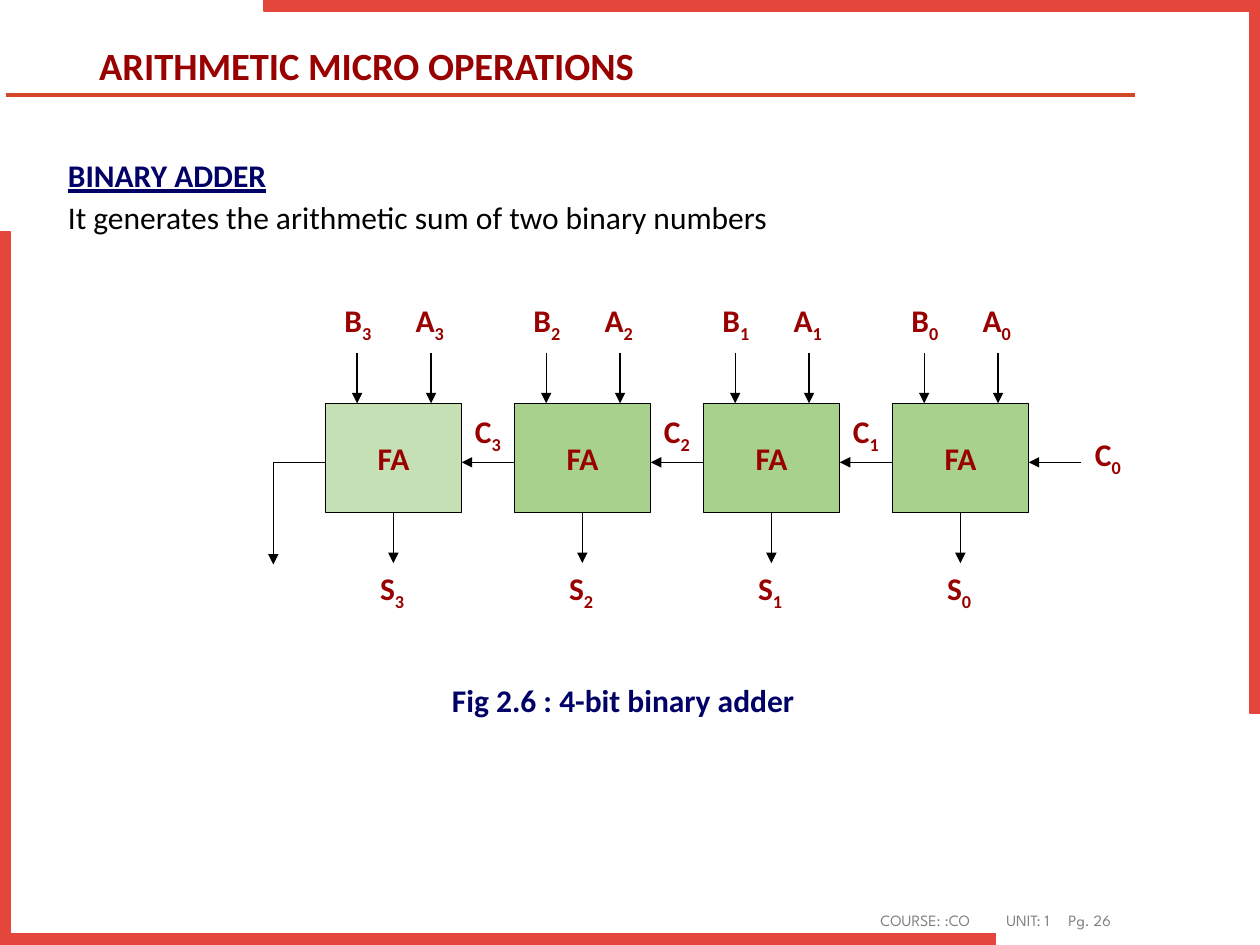
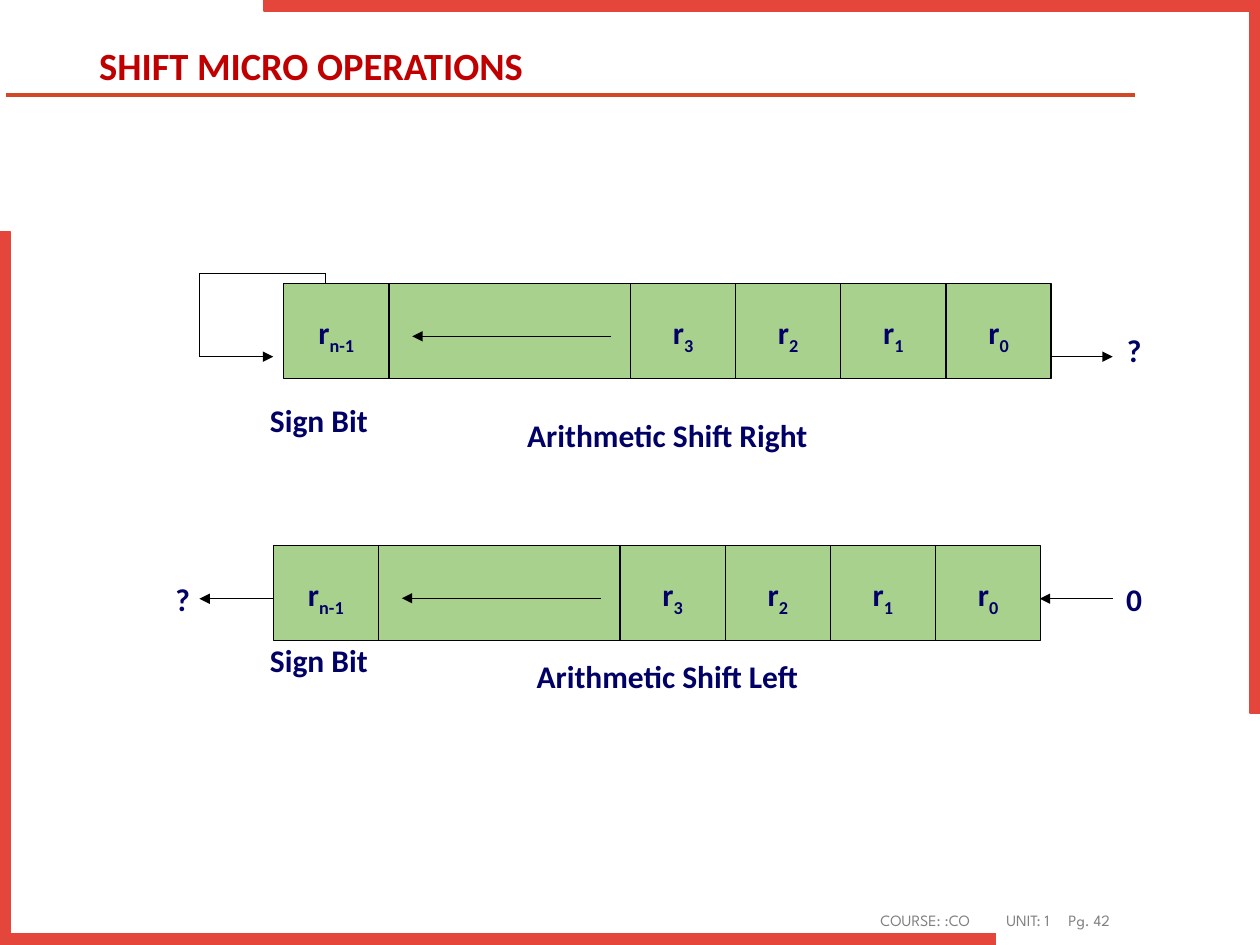
from dataclasses import dataclass
from itertools import pairwise

from lxml import etree
from pptx import Presentation
from pptx.dml.color import RGBColor
from pptx.enum import shapes, text
from pptx.oxml import ns
from pptx.util import Cm, Pt

COLORS = {
    "band": "E4463B", "rule": "D24726", "footer": "808080", "ink": "000000",
    "maroon": "990000", "red": "C00000", "navy": "000066",
    "cell": "A9D18E", "last_cell": "C5E0B4",
}
LEFT, CENTER = text.PP_ALIGN.LEFT, text.PP_ALIGN.CENTER
SLIDE_WIDTH, SLIDE_HEIGHT = 25.4, 19.05
Point = tuple[float, float]


@dataclass(frozen=True)
class Box:
    """A rectangle in centimetres."""
    left: float
    top: float
    width: float
    height: float = 1.02

    def lengths(self) -> list[Cm]:
        return [Cm(v) for v in (self.left, self.top, self.width, self.height)]


@dataclass(frozen=True)
class Style:
    color: str
    size: float = 18
    bold: bool = True
    underline: bool = False
    font: str = "Calibri"
    align: text.PP_ALIGN = CENTER


@dataclass(frozen=True)
class Register:
    """A shift register with the places of its two captions."""
    left: float
    top: float
    caption: str
    caption_top: float
    sign_top: float


MAROON, NAVY = Style("maroon"), Style("navy")


# Drawing helpers
def rgb(name: str) -> RGBColor:
    return RGBColor.from_string(COLORS[name])


def format_paragraph(paragraph, style: Style) -> None:
    paragraph.alignment = style.align
    for run in paragraph.runs:
        run.font.name = style.font
        run.font.size = Pt(style.size)
        run.font.bold = style.bold
        run.font.underline = style.underline
        run.font.color.rgb = rgb(style.color)


def add_label(slide, box: Box, wording: str, style: Style, subscript: str = ""):
    frame = slide.shapes.add_textbox(*box.lengths()).text_frame
    frame.word_wrap = True
    paragraph = frame.paragraphs[0]
    paragraph.text = wording
    if subscript:
        lowered = paragraph.add_run()
        lowered.text = subscript
        lowered._r.get_or_add_rPr().set("baseline", "-25000")
    format_paragraph(paragraph, style)
    return frame


def paint(block, fill: str, line: str, width: float) -> None:
    block.shadow.inherit = False
    block.fill.solid()
    block.fill.fore_color.rgb = rgb(fill)
    block.line.color.rgb = rgb(line)
    block.line.width = Pt(width)


def add_cell(slide, box: Box, fill: str = "cell"):
    cell = slide.shapes.add_shape(shapes.MSO_SHAPE.RECTANGLE, *box.lengths())
    paint(cell, fill, "ink", 0.75)
    return cell


def add_path(slide, *points: Point, arrow: bool = False,
             color: str = "ink", width: float = 0.75) -> None:
    """Join the points with straight lines; an arrowhead goes on the last."""
    for start, end in pairwise(points):
        segment = slide.shapes.add_connector(
            shapes.MSO_CONNECTOR.STRAIGHT, *(Cm(v) for v in start + end))
        segment.line.color.rgb = rgb(color)
        segment.line.width = Pt(width)
        properties = segment._element.spPr
        etree.SubElement(properties, ns.qn("a:effectLst"))
        if arrow and end == points[-1]:
            outline = segment.line._get_or_add_ln()
            etree.SubElement(outline, ns.qn("a:tailEnd"), type="triangle")


# Shared frame, title and footer
def add_corner_band(slide, outline: list[Point]) -> None:
    start, *others = [(Cm(x), Cm(y)) for x, y in outline]
    builder = slide.shapes.build_freeform(*start)
    builder.add_line_segments(others)
    paint(builder.convert_to_shape(), "band", "band", 1)


def add_base(deck, title: str, title_color: str, page: int):
    slide = deck.slides.add_slide(deck.slide_layouts[6])
    add_path(slide, (0.13, 1.91), (22.89, 1.91), color="rule", width=2)
    lower_left = [(0, 4.67), (0.2, 4.67), (0.2, 18.82), (20.07, 18.82),
                  (20.07, SLIDE_HEIGHT), (0, SLIDE_HEIGHT)]
    upper_right = [(SLIDE_WIDTH - x, SLIDE_HEIGHT - y) for x, y in lower_left]
    for outline in (upper_right, lower_left):
        add_corner_band(slide, outline)

    footer_style = Style("footer", 9, False, font="League Spartan", align=LEFT)
    footer = add_label(slide, Box(17.5, 18.24, 6.35, 0.56),
                       f"COURSE: :CO\tUNIT: 1\tPg. {page}", footer_style)
    tabs = etree.SubElement(footer.paragraphs[0]._p.get_or_add_pPr(),
                            ns.qn("a:tabLst"))
    for stop in (2.54, 3.79):
        etree.SubElement(tabs, ns.qn("a:tab"), pos=str(Cm(stop)), algn="l")

    heading = add_label(slide, Box(1.75, 0.71, 18.34, 1.32), title,
                        Style(title_color, 22, align=LEFT))
    heading.vertical_anchor = text.MSO_ANCHOR.MIDDLE
    heading.paragraphs[0].line_spacing = 0.9
    return slide


# Slide 1: four full adders chained by their carries
ADDER_LEFT, ADDER_PITCH, ADDER_WIDTH = 6.56, 3.81, 2.75
ADDER_TOP, ADDER_BOTTOM, CARRY_Y = 8.13, 10.34, 9.32
LABEL_WIDTH = 1.47


def add_full_adder(slide, bit: int) -> None:
    left = ADDER_LEFT + (3 - bit) * ADDER_PITCH
    adder = add_cell(
        slide, Box(left, ADDER_TOP, ADDER_WIDTH, ADDER_BOTTOM - ADDER_TOP),
        "last_cell" if bit == 3 else "cell")
    adder.text_frame.text = "FA"
    adder.text_frame.vertical_anchor = text.MSO_ANCHOR.MIDDLE
    format_paragraph(adder.text_frame.paragraphs[0], MAROON)

    for x in (left + 0.64, left + 2.13):
        add_path(slide, (x, 7.11), (x, ADDER_TOP), arrow=True)
    sum_x = left + 1.37
    add_path(slide, (sum_x, ADDER_BOTTOM), (sum_x, 11.35), arrow=True)
    add_path(slide, (left + ADDER_PITCH, CARRY_Y),
             (left + ADDER_WIDTH, CARRY_Y), arrow=True)

    carry = (3.61, 8.64) if bit == 0 else (2.54, 8.18)
    signals = {"B": (-0.08, 5.94), "A": (1.37, 5.94),
               "S": (0.61, 11.35), "C": carry}
    for signal, (offset, top) in signals.items():
        add_label(slide, Box(left + offset, top, LABEL_WIDTH), signal, MAROON,
                  str(bit))


def build_binary_adder(deck) -> None:
    slide = add_base(deck, "ARITHMETIC MICRO OPERATIONS", "maroon", 26)
    for bit in range(4):
        add_full_adder(slide, bit)
    add_path(slide, (ADDER_LEFT, CARRY_Y), (5.51, CARRY_Y), (5.51, 11.38),
             arrow=True)
    add_label(slide, Box(6.71, 13.61, 11.71), "Fig 2.6 : 4-bit binary adder", NAVY)

    intro = add_label(slide, Box(1.12, 3.15, 16.79, 3.02), "BINARY ADDER",
                      Style("navy", underline=True, align=LEFT))
    meaning = intro.add_paragraph()
    meaning.text = "It generates the arithmetic sum of two binary numbers"
    format_paragraph(meaning, Style("ink", bold=False, align=LEFT))
    for paragraph in intro.paragraphs:
        paragraph.line_spacing = Pt(18)
        paragraph.space_after = Pt(6)


# Slide 2: arithmetic shifts of a register
BIT_WIDTH, GAP_WIDTH, REGISTER_HEIGHT = 2.12, 4.87, 1.91


def add_register(slide, register: Register) -> None:
    left, top = register.left, register.top
    bottom = top + REGISTER_HEIGHT
    add_cell(slide, Box(left, top, 5 * BIT_WIDTH + GAP_WIDTH, REGISTER_HEIGHT))
    low_bits = left + BIT_WIDTH + GAP_WIDTH
    bit_lefts = {"n-1": left}
    bit_lefts |= {str(3 - i): low_bits + i * BIT_WIDTH for i in range(4)}
    for bit, x in bit_lefts.items():
        add_label(slide, Box(x, top + 0.46, BIT_WIDTH), "r", NAVY, bit)
    for x in (left + BIT_WIDTH, *list(bit_lefts.values())[1:]):
        add_path(slide, (x, top), (x, bottom))
    add_path(slide, (left + 6.6, top + 1.06), (left + 2.59, top + 1.06), arrow=True)
    add_label(slide, Box(8.69, register.caption_top, 9.53), register.caption, NAVY)
    add_label(slide, Box(5.16, register.sign_top, 2.54), "Sign Bit", NAVY)


def build_shifts(deck) -> None:
    slide = add_base(deck, "SHIFT MICRO OPERATIONS", "red", 42)
    outer_left, inner_left, inner_right, outer_right = 4.02, 5.51, 20.96, 22.43
    right_y, left_y = 7.19, 12.07

    # Bits moving in and out of the registers
    add_path(slide, (6.56, 6.15), (6.56, 5.51), (outer_left, 5.51),
             (outer_left, right_y), (inner_left, right_y), arrow=True)
    add_path(slide, (inner_right, right_y), (outer_right, right_y), arrow=True)
    add_path(slide, (inner_left, left_y), (outer_left, left_y), arrow=True)
    add_path(slide, (outer_right, left_y), (inner_right, left_y), arrow=True)
    for value, x, y in (("?", 22.23, 6.55), ("0", 22.23, 11.56), ("?", 3.05, 11.56)):
        add_label(slide, Box(x, y, 1.27), value, NAVY)

    for register in (
        Register(5.72, 5.72, "Arithmetic Shift Right", 8.26, 7.95),
        Register(5.51, 11.0, "Arithmetic Shift Left", 13.13, 12.8),
    ):
        add_register(slide, register)


def main() -> None:
    deck = Presentation()
    deck.slide_width, deck.slide_height = Cm(SLIDE_WIDTH), Cm(SLIDE_HEIGHT)
    build_binary_adder(deck)
    build_shifts(deck)
    deck.save("out.pptx")


if __name__ == "__main__":
    main()
